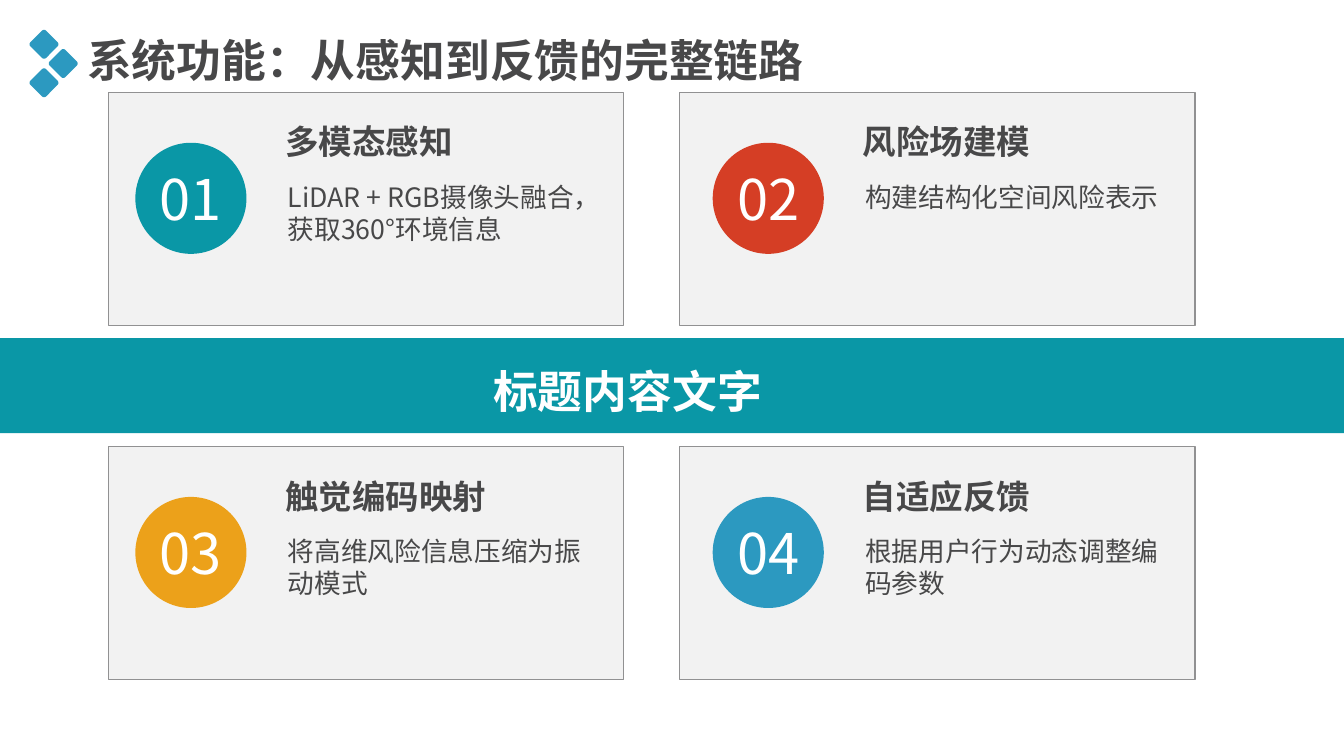
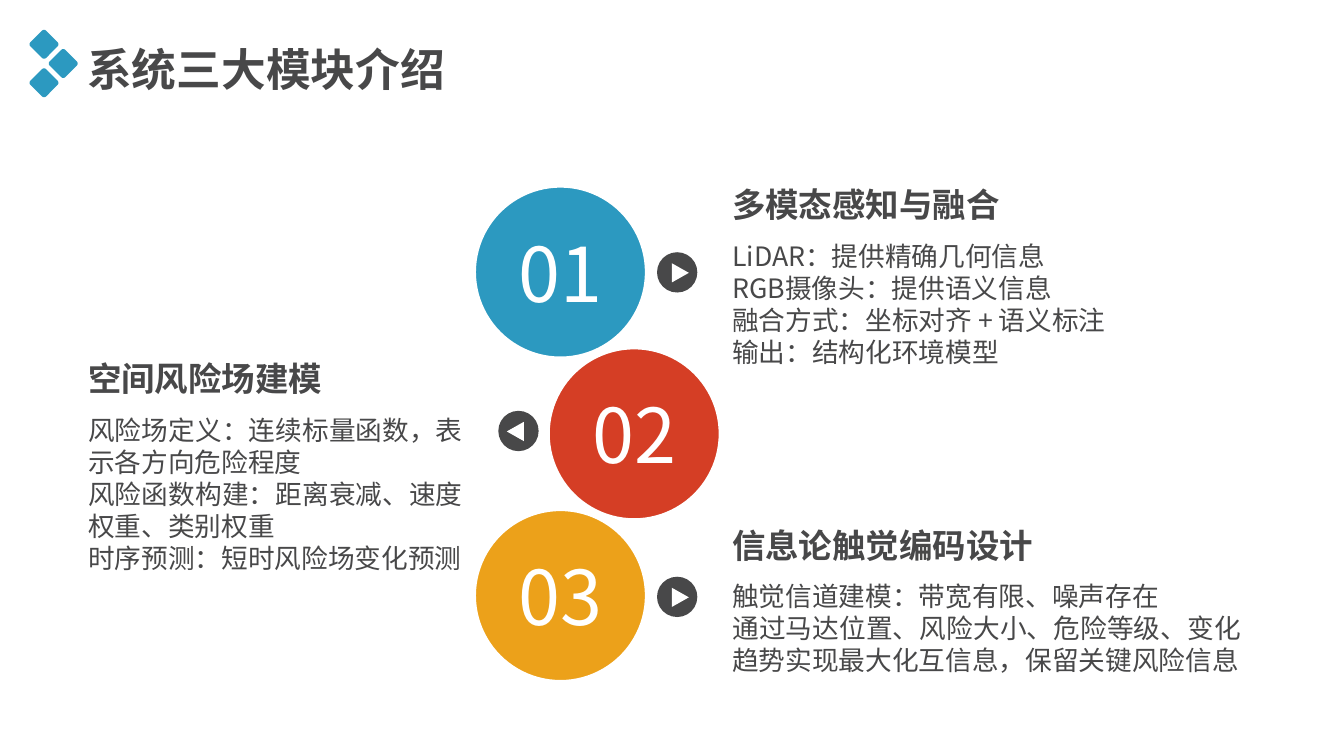
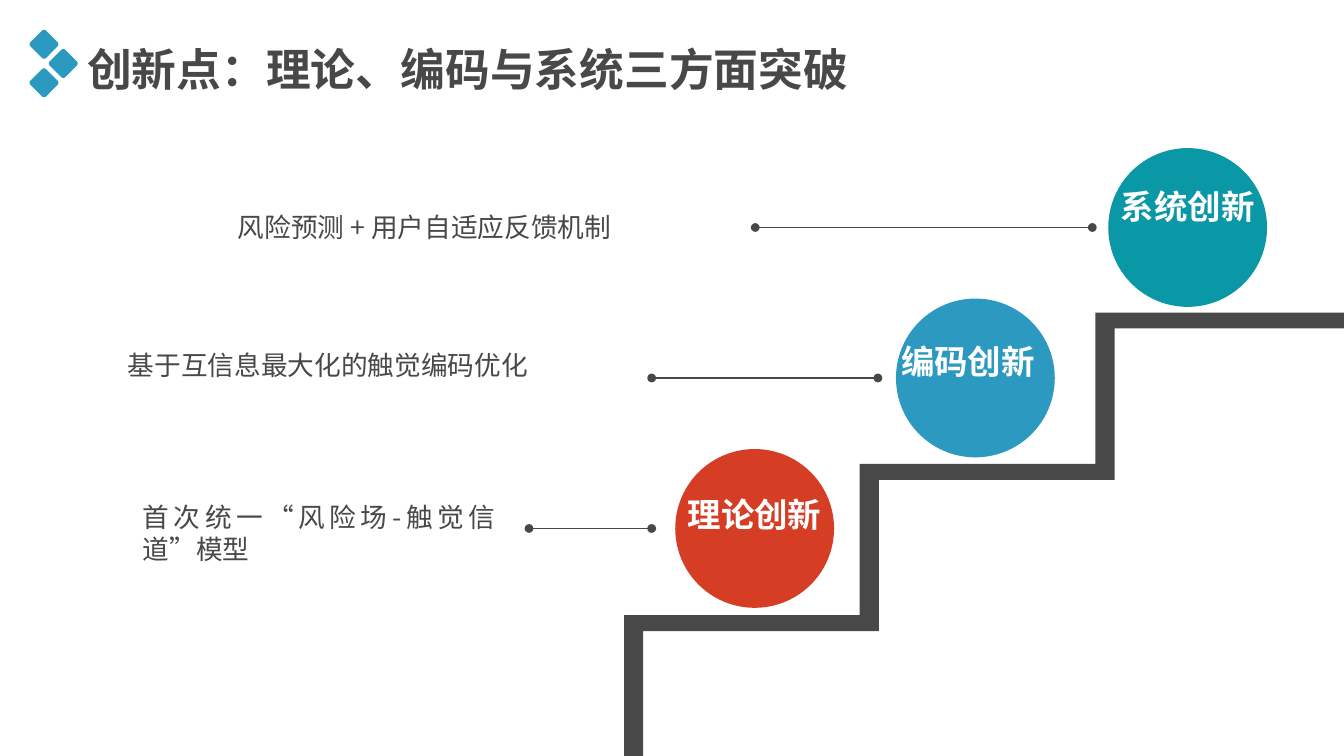
from lxml import etree
from pptx import Presentation
from pptx.dml.color import RGBColor
from pptx.enum.shapes import MSO_CONNECTOR, MSO_SHAPE
from pptx.enum.text import MSO_ANCHOR, PP_ALIGN
from pptx.oxml.ns import qn
from pptx.util import Pt

RECTANGLE = MSO_SHAPE.RECTANGLE
ROUNDED = MSO_SHAPE.ROUNDED_RECTANGLE
OVAL = MSO_SHAPE.OVAL
STRAIGHT = MSO_CONNECTOR.STRAIGHT
LEFT, CENTER, JUSTIFY = PP_ALIGN.LEFT, PP_ALIGN.CENTER, PP_ALIGN.JUSTIFY
MIDDLE = MSO_ANCHOR.MIDDLE

TEAL = RGBColor(0x0A, 0x97, 0xA6)
RED = RGBColor(0xD5, 0x3E, 0x25)
AMBER = RGBColor(0xEC, 0xA1, 0x1A)
BLUE = RGBColor(0x2C, 0x99, 0xC0)
DARK = RGBColor(0x48, 0x48, 0x49)
GRAY = RGBColor(0x91, 0x91, 0x92)
PALE = RGBColor(0xF2, 0xF2, 0xF2)
WHITE = RGBColor(0xFF, 0xFF, 0xFF)

FONT = "Noto Sans CJK SC"
TITLE_SIZE, HEADING_SIZE, BODY_SIZE = 30.2, 22.6, 18
LINE_HEIGHT = 1.2
SLIDE_WIDTH, SLIDE_HEIGHT = 907.2, 510.4


def write_text(frame, text, size=BODY_SIZE, color=DARK, bold=False, align=LEFT):
    frame.word_wrap = True
    for index, line in enumerate(text.split("\n")):
        paragraph = frame.paragraphs[0] if index == 0 else frame.add_paragraph()
        paragraph.alignment = align
        paragraph.line_spacing = Pt(size * LINE_HEIGHT)
        run = paragraph.add_run()
        run.text = line
        run.font.size = Pt(size)
        run.font.bold = bold
        run.font.color.rgb = color
        run.font.name = FONT
        east_asian = etree.SubElement(run.font._element, qn("a:ea"))
        east_asian.set("typeface", FONT)


def add_text(slide, text, left, top, width, **text_format):
    lines = text.count("\n") + 1
    height = text_format.get("size", BODY_SIZE) * LINE_HEIGHT * lines + 7.2
    box = slide.shapes.add_textbox(Pt(left), Pt(top), Pt(width), Pt(height))
    write_text(box.text_frame, text, **text_format)


def paint(shape, fill, line=None, line_width=0.75):
    shape.shadow.inherit = False
    shape.fill.solid()
    shape.fill.fore_color.rgb = fill
    if line is None:
        shape.line.fill.background()
    else:
        shape.line.color.rgb = line
        shape.line.width = Pt(line_width)


def add_shape(slide, kind, left, top, width, height, fill, **line_format):
    shape = slide.shapes.add_shape(kind, Pt(left), Pt(top), Pt(width), Pt(height))
    paint(shape, fill, **line_format)
    return shape


def add_outline(slide, points, fill):
    points = [(Pt(x), Pt(y)) for x, y in points]
    builder = slide.shapes.build_freeform(*points[0])
    builder.add_line_segments(points[1:], close=True)
    paint(builder.convert_to_shape(), fill)


def add_number(slide, number, left, top, diameter, size, fill, **line_format):
    circle = add_shape(slide, OVAL, left, top, diameter, diameter, fill, **line_format)
    frame = circle.text_frame
    frame.margin_left = frame.margin_right = frame.margin_top = frame.margin_bottom = 0
    frame.vertical_anchor = MIDDLE
    write_text(frame, number, size=size, color=WHITE, align=CENTER)


def add_dotted_line(slide, start, end, y):
    connector = slide.shapes.add_connector(STRAIGHT, Pt(start), Pt(y), Pt(end), Pt(y))
    connector.line.color.rgb = DARK
    connector.line.width = Pt(1)
    line = connector.line._get_or_add_ln()
    for tag in ("a:headEnd", "a:tailEnd"):
        etree.SubElement(line, qn(tag)).set("type", "oval")
    etree.SubElement(connector._element.spPr, qn("a:effectLst"))


def add_titled_slide(presentation, title, title_top=24.5):
    slide = presentation.slides.add_slide(presentation.slide_layouts[6])
    side, step = 15, 13
    for column, row in ((0, 0), (1, 1), (0, 2)):
        diamond = add_shape(slide, ROUNDED, 22.2 + column * step, 22.4 + row * step,
                            side, side, BLUE)
        diamond.adjustments[0] = 0.13
        diamond.rotation = 45
    add_text(slide, title, 51.8, title_top, 540, size=TITLE_SIZE, bold=True)
    return slide


def add_card(slide, left, top, inset, number, color, heading, body):
    add_shape(slide, RECTANGLE, left, top, 347.8, 157, PALE, line=GRAY)
    content = left + inset
    add_number(slide, number, content, top + 33.8, 75, 37.8, color)
    add_text(slide, heading, content + 94.3, top + 15.8, 219.6,
             size=HEADING_SIZE, bold=True)
    add_text(slide, body, content + 95.8, top + 56.2, 218.2)


def add_band(slide, text, top, height):
    add_shape(slide, RECTANGLE, 0, top, SLIDE_WIDTH, height, TEAL)
    add_text(slide, text, 318.7, top + 13.7, 210, size=TITLE_SIZE, color=WHITE,
             bold=True, align=CENTER)


def add_play_marker(slide, left, top, direction):
    diameter = 27.2
    add_shape(slide, OVAL, left, top, diameter, diameter, DARK)
    x, y = left + diameter / 2, top + diameter / 2 + 0.3
    base, tip = x - 3.6 * direction, x + 7.9 * direction
    add_outline(slide, [(base, y - 6.5), (tip, y), (base, y + 6.5)], WHITE)


def add_module_text(slide, left, top, width, heading, body):
    add_text(slide, heading, left, top, 235, size=HEADING_SIZE, bold=True)
    add_text(slide, body, left, top + 37.4, width, align=JUSTIFY)


def add_stairs(slide, left, top, step_width, step_height, steps):
    tread, riser = 10.8, 13
    outer = []
    for index in range(steps):
        x = left + index * step_width
        y = top + (steps - 1 - index) * step_height
        outer += [(x, y + step_height), (x, y)]
        outer.append((x + step_width, y))
    outer[0] = (left, SLIDE_HEIGHT)
    outer[-1] = (SLIDE_WIDTH, top)
    inner = [(min(x + riser, SLIDE_WIDTH), min(y + tread, SLIDE_HEIGHT))
             for x, y in reversed(outer)]
    add_outline(slide, outer + inner, DARK)


def add_innovation(slide, left, top, color, label, label_shift, line_ends, body, body_box):
    diameter = 107.2
    add_shape(slide, OVAL, left, top, diameter, diameter, color)
    add_dotted_line(slide, *line_ends, top + diameter / 2)
    shift_x, shift_y = label_shift
    add_text(slide, label, left + shift_x - 8, top + shift_y, diameter + 16,
             size=HEADING_SIZE, color=WHITE, bold=True, align=CENTER)
    add_text(slide, body, *body_box, align=JUSTIFY)


def build_functions(presentation):
    slide = add_titled_slide(presentation, "系统功能：从感知到反馈的完整链路", 18.7)
    cards = [
        ("01", TEAL, "多模态感知", "LiDAR + RGB摄像头融合，获取360°环境信息"),
        ("02", RED, "风险场建模", "构建结构化空间风险表示"),
        ("03", AMBER, "触觉编码映射", "将高维风险信息压缩为振动模式"),
        ("04", BLUE, "自适应反馈", "根据用户行为动态调整编码参数"),
    ]
    for index, card in enumerate(cards):
        row, column = divmod(index, 2)
        add_card(slide, 73.4 + column * 385.5, 62.6 + row * 239.1,
                 18 + column * 4.2, *card)
    add_band(slide, "标题内容文字", 228.3, 64.2)


def build_modules(presentation):
    slide = add_titled_slide(presentation, "系统三大模块介绍")
    for index, (left, color) in enumerate(((319.8, BLUE), (369.6, RED), (319.8, AMBER))):
        add_number(slide, f"0{index + 1}", left, 125.2 + index * 109.2, 117, 51, color,
                   line=WHITE, line_width=3)
    for left, top, direction in ((443.5, 170.3, 1), (336.4, 277.4, -1), (443.5, 389.4, 1)):
        add_play_marker(slide, left, top, direction)
    add_module_text(slide, 487.2, 121, 357.8, "多模态感知与融合",
                    "LiDAR：提供精确几何信息\nRGB摄像头：提供语义信息\n"
                    "融合方式：坐标对齐 + 语义标注\n输出：结构化环境模型")
    add_module_text(slide, 52.4, 238.4, 267.1, "空间风险场建模",
                    "风险场定义：连续标量函数，表示各方向危险程度\n"
                    "风险函数构建：距离衰减、速度权重、类别权重\n"
                    "时序预测：短时风险场变化预测")
    add_module_text(slide, 487.2, 350.7, 357.8, "信息论触觉编码设计",
                    "触觉信道建模：带宽有限、噪声存在\n"
                    "通过马达位置、风险大小、危险等级、变化趋势实现最大化互信息，保留关键风险信息")


def build_innovations(presentation):
    slide = add_titled_slide(presentation, "创新点：理论、编码与系统三方面突破")
    add_stairs(slide, 421.2, 211, 159.1, 102.2, 3)
    innovations = [
        (748.1, TEAL, "系统创新", (0, 22.3), (509.8, 737.3),
         "风险预测 + 用户自适应反馈机制", (153.4, 139, 332)),
        (604.8, BLUE, "编码创新", (-5, 25.2), (439.9, 592.6),
         "基于互信息最大化的触觉编码优化", (79.2, 231.8, 332)),
        (455.8, RED, "理论创新", (0, 26.6), (357.1, 439.9),
         "首次统一“风险场-触觉信道”模型", (89.3, 334.8, 252)),
    ]
    for index, (left, *details) in enumerate(innovations):
        add_innovation(slide, left, 100 + index * 101.6, *details)


def main():
    presentation = Presentation()
    presentation.slide_width = Pt(SLIDE_WIDTH)
    presentation.slide_height = Pt(SLIDE_HEIGHT)
    build_functions(presentation)
    build_modules(presentation)
    build_innovations(presentation)
    presentation.save("out.pptx")


if __name__ == "__main__":
    main()
